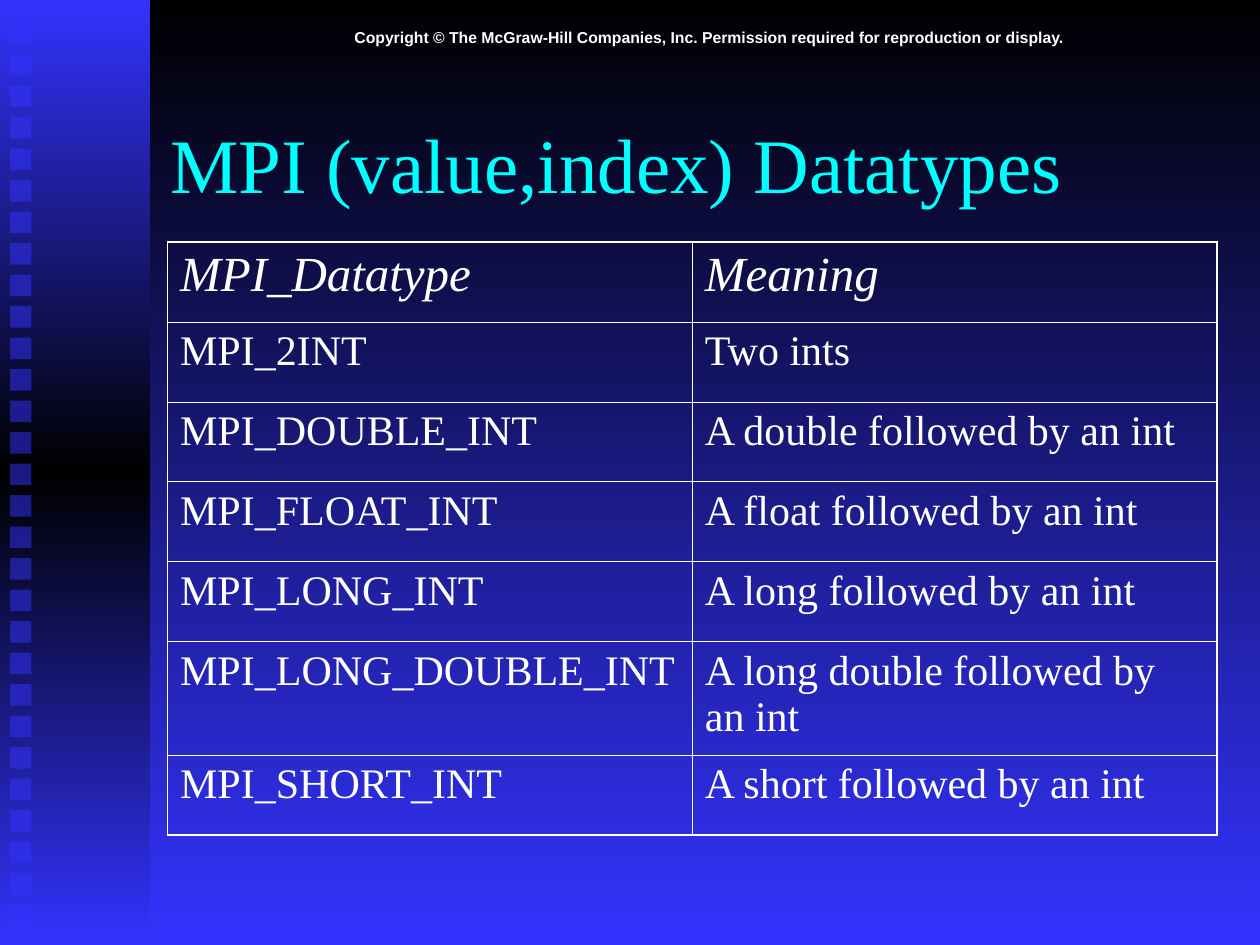
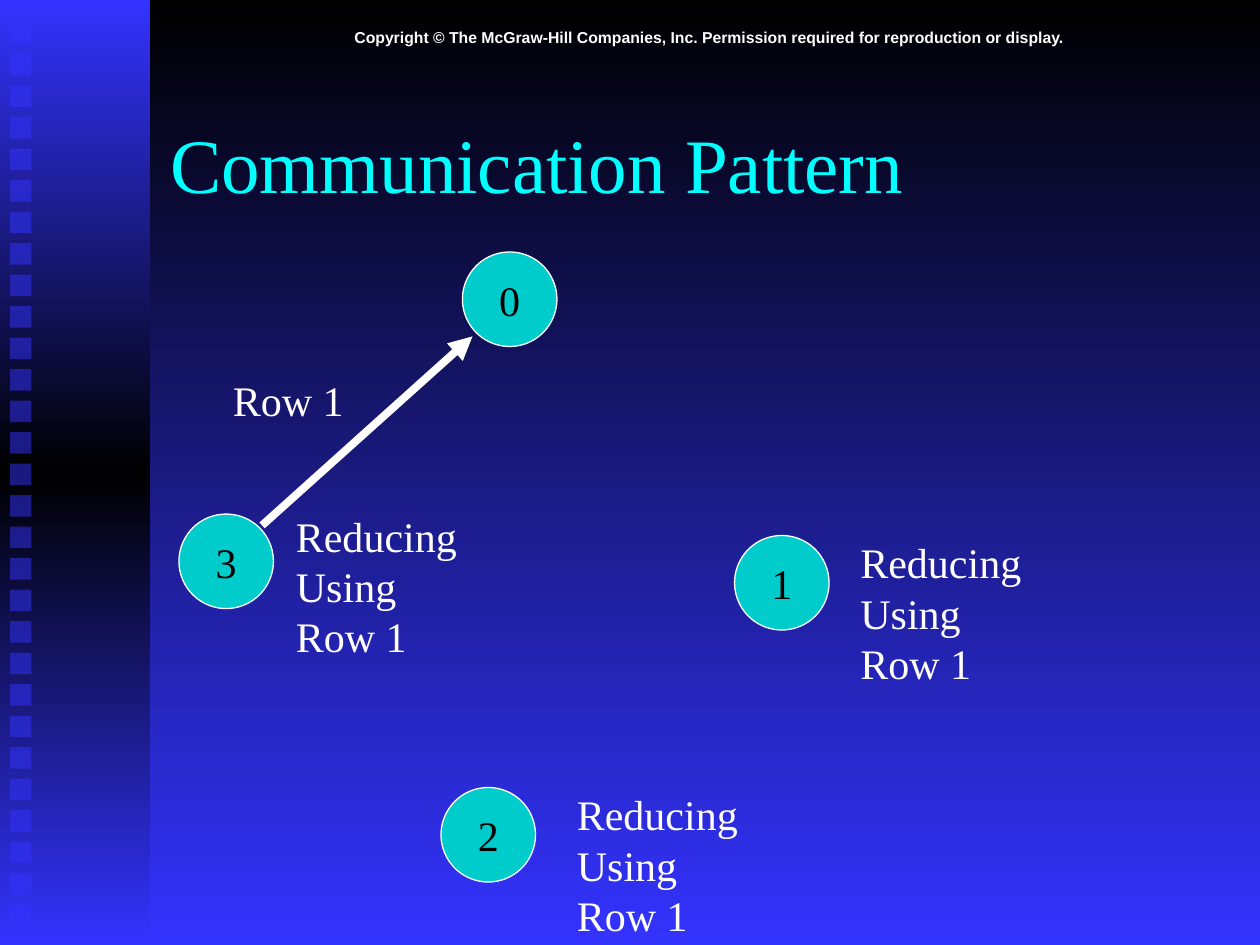
"""Builds two slides on MPI reduction: a datatype table and a communication pattern."""
from dataclasses import dataclass

from lxml import etree
from pptx import Presentation
from pptx import util as u
from pptx.dml.color import RGBColor
from pptx.enum import shapes, text
from pptx.oxml.ns import qn


@dataclass(frozen=True)
class Theme:
    """Colours, fonts and type sizes shared by the slides."""
    black: str = "000000"
    blue: str = "3333FF"
    cyan: str = "00FFFF"
    teal: str = "00CCCC"
    white: str = "FFFFFF"
    serif: str = "Times New Roman"
    sans: str = "Arial"
    title: float = 44
    heading: float = 28
    body: float = 24
    small: float = 9
    outer_border: float = 1.08
    inner_border: float = 0.45


THEME = Theme()
COPYRIGHT = ("Copyright © The McGraw-Hill Companies, Inc. "
             "Permission required for reproduction or display.")
DATATYPES = [
    ("MPI_Datatype", "Meaning"),
    ("MPI_2INT", "Two ints"),
    ("MPI_DOUBLE_INT", "A double followed by an int"),
    ("MPI_FLOAT_INT", "A float followed by an int"),
    ("MPI_LONG_INT", "A long followed by an int"),
    ("MPI_LONG_DOUBLE_INT", "A long double followed by an int"),
    ("MPI_SHORT_INT", "A short followed by an int"),
]
PROCESSES = [("0", 3.67, 2), ("2", 3.5, 6.25), ("1", 5.83, 4.25), ("3", 1.42, 4.08)]
REDUCING_SPOTS = [(6.73, 4.21), (4.48, 6.21), (2.25, 4)]


def inches(*lengths):
    """Convert several lengths to Inches."""
    return [u.Inches(length) for length in lengths]


def write(frame, content, size=THEME.body, color=THEME.white, font=THEME.serif,
          bold=False, italic=False, align=text.PP_ALIGN.LEFT):
    """Fill a text frame, one paragraph a line, in one format."""
    frame.text = content
    for paragraph in frame.paragraphs:
        paragraph.alignment = align
        for run in paragraph.runs:
            run.font.size = u.Pt(size)
            run.font.name = font
            run.font.bold = bold
            run.font.italic = italic
            run.font.color.rgb = RGBColor.from_string(color)


def paint_gradient(target, colors):
    """Fill a shape or background with evenly spaced colours from top to bottom."""
    target.fill.gradient()
    target.fill.gradient_angle = 270
    stops = next(target.element.iter(qn("a:gsLst")))
    for stop in list(stops):
        stops.remove(stop)
    for index, color in enumerate(colors):
        position = 100000 * index // (len(colors) - 1)
        stop = etree.SubElement(stops, qn("a:gs"), pos=str(position))
        etree.SubElement(stop, qn("a:srgbClr"), val=color)


def add_plain_shape(parent, kind, left, top, width, height):
    """Add a preset shape without shadow or outline."""
    shape = parent.add_shape(kind, *inches(left, top, width, height))
    shape.shadow.inherit = False
    shape.line.fill.background()
    return shape


def add_square(parent, top):
    """Add one half-transparent square of the side band."""
    square = add_plain_shape(parent, shapes.MSO_SHAPE.RECTANGLE, 0.08, top, 0.17, 0.17)
    square.fill.solid()
    square.fill.fore_color.rgb = RGBColor.from_string(THEME.blue)
    tint = next(square.element.spPr.iter(qn("a:srgbClr")))
    etree.SubElement(tint, qn("a:alpha"), val="50000")


def add_label(slide, content, left, top, width, height, **style):
    """Add a text box that fits its unwrapped text."""
    label = slide.shapes.add_textbox(*inches(left, top, width, height))
    label.text_frame.word_wrap = False
    label.text_frame.auto_size = text.MSO_AUTO_SIZE.SHAPE_TO_FIT_TEXT
    write(label.text_frame, content, **style)
    return label


def dress_layout(layout, slide):
    """Give the layout its background, side band and copyright line."""
    paint_gradient(layout.background, [THEME.black, THEME.blue])
    tree = layout.shapes.element
    for placeholder in list(layout.placeholders):
        if placeholder.placeholder_format.idx:
            tree.remove(placeholder.element)
    side = slide.shapes.add_group_shape()
    band = add_plain_shape(side.shapes, shapes.MSO_SHAPE.RECTANGLE, 0, 0, 1.19, 7.5)
    paint_gradient(band, [THEME.blue, THEME.black, THEME.blue])
    for step in range(29):
        add_square(side.shapes, 0.18 + 0.25 * step)
    notice = add_label(slide, COPYRIGHT, 1.25, 0.17, 8.75, 0.25, size=THEME.small,
                       font=THEME.sans, bold=True, align=text.PP_ALIGN.CENTER)
    notice.text_frame.word_wrap = True
    for part in (side, notice):
        tree.append(part.element)


def set_title(slide, content):
    """Place and format the slide title."""
    title = slide.shapes.title
    title.left, title.top, title.width, title.height = inches(1.25, 0.67, 8.5, 1.25)
    title.text_frame.vertical_anchor = text.MSO_ANCHOR.MIDDLE
    title.text_frame.auto_size = text.MSO_AUTO_SIZE.NONE
    write(title.text_frame, content, size=THEME.title, color=THEME.cyan)


def set_borders(cell, outer_sides):
    """Draw the four cell borders, heavier on the table's outer sides."""
    properties = cell._tc.get_or_add_tcPr()
    for side in "LRTB":
        weight = THEME.outer_border if side in outer_sides else THEME.inner_border
        border = etree.SubElement(properties, qn(f"a:ln{side}"), w=str(u.Pt(weight)))
        fill = etree.SubElement(border, qn("a:solidFill"))
        etree.SubElement(fill, qn("a:srgbClr"), val=THEME.white)


def add_datatype_table(slide, rows, tall_row):
    """Add the ruled table, with one row taller than the rest."""
    last_row, last_column = len(rows) - 1, len(rows[0]) - 1
    table = slide.shapes.add_table(len(rows), len(rows[0]),
                                   *inches(1.33, 1.92, 8.33, 4.71)).table
    table.first_row = table.horz_banding = False
    tall_height = 0.9
    row_height = (4.71 - tall_height) / last_row
    for r, values in enumerate(rows):
        table.rows[r].height = u.Inches(tall_height if r == tall_row else row_height)
        for c, value in enumerate(values):
            cell = table.cell(r, c)
            edges = {"T": r == 0, "B": r == last_row, "L": c == 0, "R": c == last_column}
            set_borders(cell, [side for side, outer in edges.items() if outer])
            cell.fill.background()
            write(cell.text_frame, value, italic=r == 0,
                  size=THEME.body if r else THEME.heading)


def add_process(slide, rank, left, top):
    """Add a numbered process circle."""
    process = add_plain_shape(slide.shapes, shapes.MSO_SHAPE.OVAL, left, top, 0.75, 0.75)
    process.fill.solid()
    process.fill.fore_color.rgb = RGBColor.from_string(THEME.teal)
    process.line.color.rgb = RGBColor.from_string(THEME.white)
    process.line.width = u.Pt(0.75)
    process.text_frame.word_wrap = False
    process.text_frame.vertical_anchor = text.MSO_ANCHOR.MIDDLE
    write(process.text_frame, rank, color=THEME.black, align=text.PP_ALIGN.CENTER)


def add_message(slide, start, end):
    """Add a thick arrow for a message between processes."""
    message = slide.shapes.add_connector(shapes.MSO_CONNECTOR.STRAIGHT,
                                         *inches(*start, *end))
    message.line.color.rgb = RGBColor.from_string(THEME.white)
    message.line.width = u.Pt(4.5)
    etree.SubElement(message.line._get_or_add_ln(), qn("a:tailEnd"), type="triangle")
    etree.SubElement(message.element.spPr, qn("a:effectLst"))


def main():
    """Build and save the presentation."""
    deck = Presentation()
    deck.slide_width, deck.slide_height = inches(10, 7.5)
    layout = deck.slide_layouts[5]

    datatypes = deck.slides.add_slide(layout)
    dress_layout(layout, datatypes)
    set_title(datatypes, "MPI (value,index) Datatypes")
    add_datatype_table(datatypes, DATATYPES, tall_row=5)

    pattern = deck.slides.add_slide(layout)
    set_title(pattern, "Communication Pattern")
    for rank, left, top in PROCESSES:
        add_process(pattern, rank, left, top)
    add_message(pattern, (2.08, 4.17), (3.75, 2.67))
    for left, top in REDUCING_SPOTS:
        add_label(pattern, "Reducing Using\nRow 1", left, top, 2.35, 0.9)
    add_label(pattern, "Row 1", 1.75, 2.92, 1.08, 0.5)

    deck.save("out.pptx")


if __name__ == "__main__":
    main()
